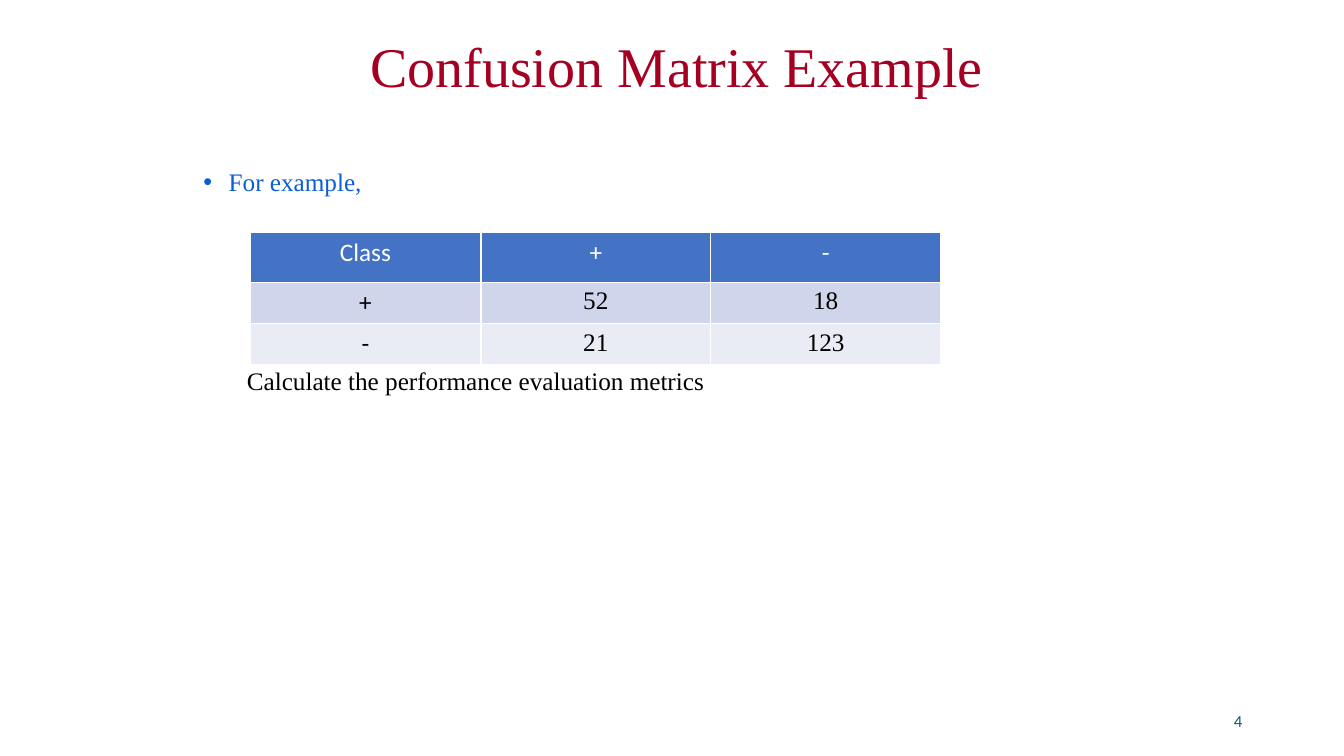
from pptx import Presentation
from pptx.dml.color import RGBColor
from pptx.enum.text import MSO_ANCHOR as Anchor, PP_ALIGN as Align
from pptx.oxml.ns import qn
from pptx.util import Inches, Pt
from lxml.etree import SubElement

TITLE = "Confusion Matrix Example"
LEAD = "For example,"
TASK = "Calculate the performance evaluation metrics"
PAGE_NUMBER = "4"
MATRIX = [
    ("Class", "+", "-"),
    ("+", "52", "18"),
    ("-", "21", "123"),
]
COLUMN_WIDTHS = (2.29, 2.28, 2.28)
ROW_HEIGHTS = (0.49, 0.41, 0.41)

THEME = {
    "serif": "Times New Roman", "sans": "Calibri",
    "title_size": 40, "body_size": 18, "number_size": 12,
    "title": "A50021", "lead": "0B5ED7", "number": "045D75",
    "ink": "000000", "paper": "FFFFFF",
    "row_fills": ("4472C4", "CFD5EA", "E9EBF5"),
}


def style(para, face, size, color, align):
    para.alignment = align
    para.font.name = THEME[face]
    para.font.size = Pt(THEME[size])
    para.font.color.rgb = RGBColor.from_string(THEME[color])
    para.font.bold = False


def add_text(page, text, place, face, size, color, align=Align.LEFT):
    box = page.shapes.add_textbox(*map(Inches, place))
    frame = box.text_frame
    frame.word_wrap = True
    frame.vertical_anchor = Anchor.MIDDLE
    para = frame.paragraphs[0]
    para.text = text
    style(para, face, size, color, align)
    return para


def add_bullet(para, indent):
    properties = para._p.get_or_add_pPr()
    properties.set("marL", str(Inches(indent)))
    properties.set("indent", str(-Inches(indent)))
    SubElement(properties, qn("a:buFont"), typeface="Arial")
    SubElement(properties, qn("a:buChar"), char="•")


def add_matrix(page, left, top):
    table = page.shapes.add_table(
        len(MATRIX), len(MATRIX[0]), Inches(left), Inches(top),
        Inches(sum(COLUMN_WIDTHS)), Inches(sum(ROW_HEIGHTS))).table
    for column, width in zip(table.columns, COLUMN_WIDTHS):
        column.width = Inches(width)
    for r, values in enumerate(MATRIX):
        table.rows[r].height = Inches(ROW_HEIGHTS[r])
        for c, value in enumerate(values):
            cell = table.cell(r, c)
            cell.text = value
            cell.fill.solid()
            cell.fill.fore_color.rgb = RGBColor.from_string(THEME["row_fills"][r])
            is_label = r == 0 or c == 0
            style(cell.text_frame.paragraphs[0], "sans" if is_label else "serif",
                  "body_size", "paper" if r == 0 else "ink", Align.CENTER)


def main():
    deck = Presentation()
    deck.slide_width, deck.slide_height = Inches(13.33), Inches(7.5)
    page = deck.slides.add_slide(deck.slide_layouts[6])

    title = add_text(page, TITLE, (1.83, 0.31, 9.76, 0.75),
                     "serif", "title_size", "title", Align.CENTER)
    title.line_spacing = 0.9
    lead = add_text(page, LEAD, (1.92, 1.6, 9.3, 0.4), "serif", "body_size", "lead")
    add_bullet(lead, 0.25)
    add_matrix(page, 2.48, 2.31)
    add_text(page, TASK, (2.35, 3.57, 8.87, 0.4), "serif", "body_size", "ink")
    add_text(page, PAGE_NUMBER, (9.42, 6.95, 3, 0.4),
             "sans", "number_size", "number", Align.RIGHT)
    deck.save("out.pptx")


if __name__ == "__main__":
    main()
